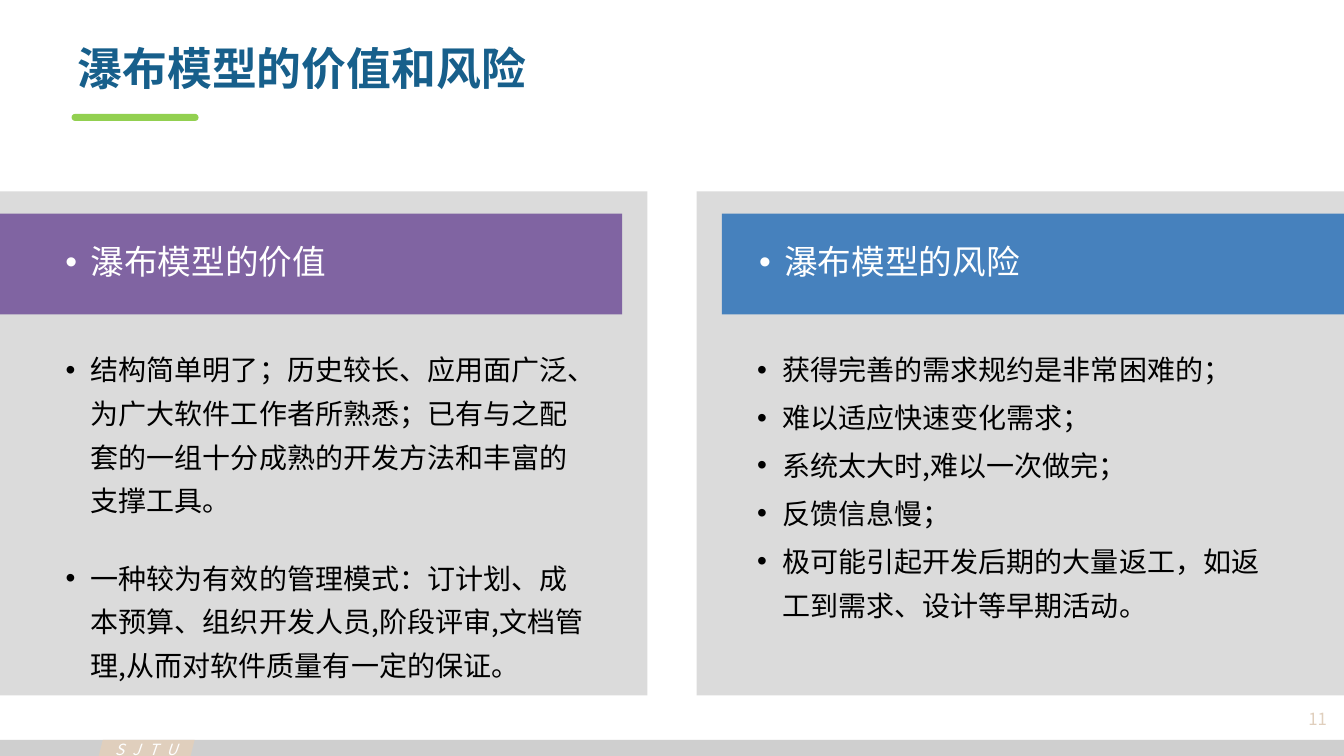
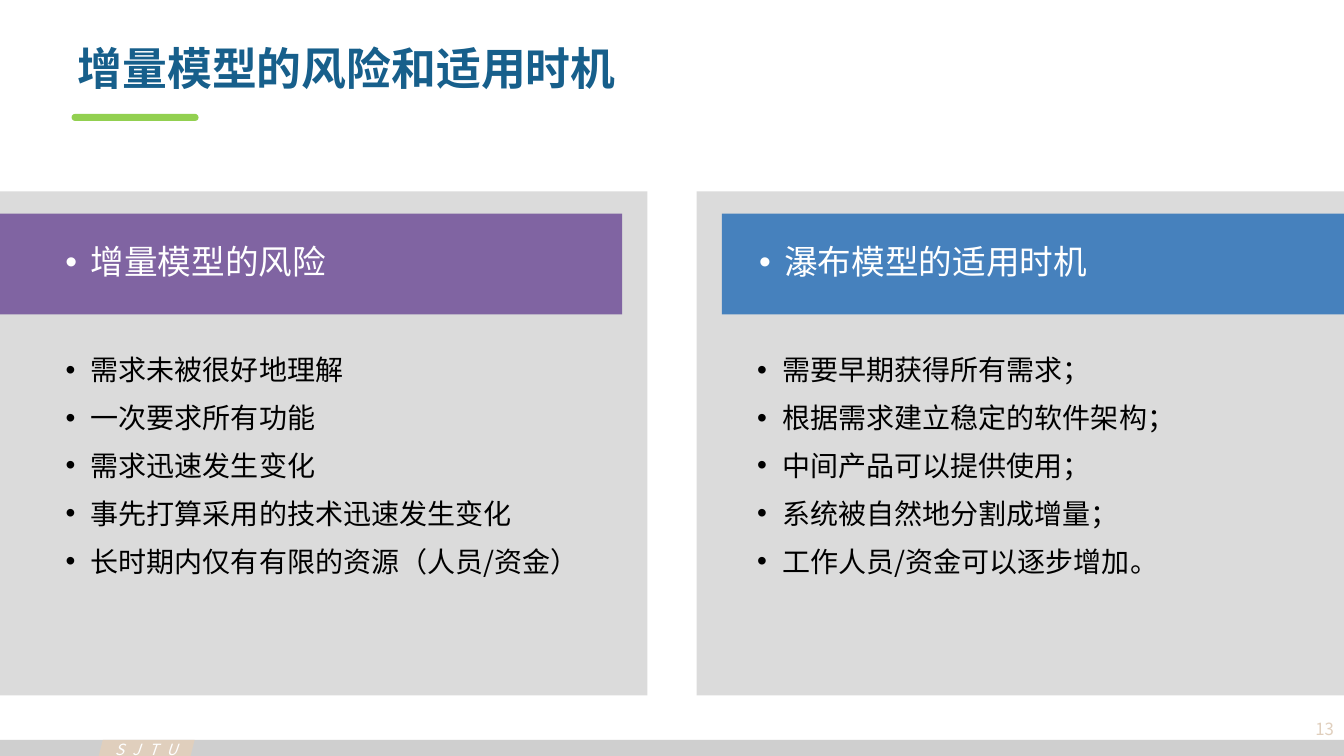
from lxml import etree
from pptx import Presentation
from pptx.dml.color import RGBColor
from pptx.enum import shapes, text
from pptx.oxml.ns import qn
from pptx.util import Inches, Pt

FONT = "Noto Sans CJK SC"
WHITE = RGBColor(0xFF, 0xFF, 0xFF)
BLACK = RGBColor(0, 0, 0)
TITLE_BLUE = RGBColor(0x17, 0x5F, 0x8B)
ACCENT_GREEN = RGBColor(0x92, 0xD0, 0x50)
PANEL_GRAY = RGBColor(0xDB, 0xDB, 0xDB)
FOOTER_GRAY = RGBColor(0xBF, 0xBF, 0xBF)
SAND = RGBColor(0xE0, 0xCF, 0xBD)
PURPLE = RGBColor(0x80, 0x64, 0xA2)
BLUE = RGBColor(0x46, 0x81, 0xBD)

SLIDE_W, SLIDE_H = 13.33, 7.5
PANEL_W, PANEL_H, PANEL_TOP = 6.42, 5, 1.9
HEADING_W, HEADING_H, HEADING_TOP = 6.17, 1, 2.12
FOOTER_H = 0.16

SIDES = [
    {"color": PURPLE, "right": False,
     "body_insets": (0.65, 1.5, 0.6, 0.05), "heading_insets": (0.65, 0.1, 0.5, 0.1)},
    {"color": BLUE, "right": True,
     "body_insets": (0.6, 1.5, 0.6, 0.05), "heading_insets": (0.37, 0.1, 0.67, 0.1)},
]

PAGES = [
    {
        "title": "瀑布模型的价值和风险",
        "number": "11",
        "number_at": (12.13, 6.94),
        "columns": [
            ("瀑布模型的价值", 23.9, [
                "结构简单明了；历史较长、应用面广泛、为广大软件工作者所熟悉；"
                "已有与之配套的一组十分成熟的开发方法和丰富的支撑工具。",
                "一种较为有效的管理模式：订计划、成本预算、组织开发人员,"
                "阶段评审,文档管理,从而对软件质量有一定的保证。",
            ]),
            ("瀑布模型的风险", 3, [
                "获得完善的需求规约是非常困难的；",
                "难以适应快速变化需求；",
                "系统太大时,难以一次做完；",
                "反馈信息慢；",
                "极可能引起开发后期的大量返工，如返工到需求、设计等早期活动。",
            ]),
        ],
    },
    {
        "title": "增量模型的风险和适用时机",
        "number": "13",
        "number_at": (12.2, 7.04),
        "columns": [
            ("增量模型的风险", 3, [
                "需求未被很好地理解",
                "一次要求所有功能",
                "需求迅速发生变化",
                "事先打算采用的技术迅速发生变化",
                "长时期内仅有有限的资源（人员/资金）",
            ]),
            ("瀑布模型的适用时机", 3, [
                "需要早期获得所有需求；",
                "根据需求建立稳定的软件架构；",
                "中间产品可以提供使用；",
                "系统被自然地分割成增量；",
                "工作人员/资金可以逐步增加。",
            ]),
        ],
    },
]


def inches(*lengths):
    return [Inches(length) for length in lengths]


def style_run(run, size, color, bold=False, italic=False):
    font = run.font
    font.name, font.size, font.bold, font.italic = FONT, Pt(size), bold, italic
    font.color.rgb = color
    east_asian = etree.SubElement(font._element, qn("a:ea"))
    east_asian.set("typeface", FONT)


def add_block(slide, preset, box, color):
    block = slide.shapes.add_shape(preset, *inches(*box))
    block.shadow.inherit = False
    block.fill.solid()
    block.fill.fore_color.rgb = color
    block.line.fill.background()
    return block


def add_label(slide, box, label, size, color, align, italic=False):
    frame = slide.shapes.add_textbox(*inches(*box)).text_frame
    frame.text = label
    paragraph = frame.paragraphs[0]
    paragraph.alignment = align
    style_run(paragraph.runs[0], size, color, italic=italic)
    return frame


def fill_bullets(block, items, insets, anchor, size, color, line_spacing, gap):
    frame = block.text_frame
    frame.word_wrap = True
    frame.vertical_anchor = anchor
    (frame.margin_left, frame.margin_top,
     frame.margin_right, frame.margin_bottom) = inches(*insets)
    frame.text = "\n".join(items)
    for index, paragraph in enumerate(frame.paragraphs):
        properties = paragraph._p.get_or_add_pPr()
        properties.set("marL", str(Inches(0.25)))
        properties.set("indent", str(-Inches(0.25)))
        bullet_font = etree.SubElement(properties, qn("a:buFont"))
        bullet_font.set("typeface", "Arial")
        etree.SubElement(properties, qn("a:buChar")).set("char", "•")
        paragraph.alignment = text.PP_ALIGN.LEFT
        paragraph.line_spacing = line_spacing
        paragraph.space_before = Pt(gap if index else 0)
        style_run(paragraph.runs[0], size, color)


def add_frame(slide, page):
    preset = shapes.MSO_SHAPE
    footer_top = SLIDE_H - FOOTER_H
    band = add_block(slide, preset.RECTANGLE, (0, footer_top, SLIDE_W, FOOTER_H), FOOTER_GRAY)
    band_color = band.fill._xPr.find(qn("a:solidFill"))[0]
    etree.SubElement(band_color, qn("a:alpha")).set("val", "75000")
    add_block(slide, preset.PARALLELOGRAM, (0.98, footer_top, 0.95, FOOTER_H), SAND)

    school = add_label(slide, (1.04, 7.29, 0.93, 0.29), "SJTU", 11, WHITE,
                       text.PP_ALIGN.JUSTIFY, italic=True)
    school.word_wrap = False
    school.auto_size = text.MSO_AUTO_SIZE.SHAPE_TO_FIT_TEXT
    school.paragraphs[0].runs[0].font._element.set("spc", "600")

    underline = add_block(slide, preset.ROUND_2_SAME_RECTANGLE,
                          (0.71, 1.13, 1.26, 0.07), ACCENT_GREEN)
    underline.adjustments[0] = underline.adjustments[1] = 0.5

    number = add_label(slide, (*page["number_at"], 1.13, 0.38), page["number"], 12, SAND,
                       text.PP_ALIGN.RIGHT)
    number.word_wrap = True
    number.vertical_anchor = text.MSO_ANCHOR.MIDDLE


def set_title(slide, words):
    title = slide.shapes.title
    title.left, title.top, title.width, title.height = inches(0.67, 0.41, 11.6, 0.75)
    frame = title.text_frame
    frame.text = words
    frame.vertical_anchor = text.MSO_ANCHOR.TOP
    frame.auto_size = text.MSO_AUTO_SIZE.NONE
    paragraph = frame.paragraphs[0]
    paragraph.alignment = text.PP_ALIGN.LEFT
    paragraph.line_spacing = 0.9
    style_run(paragraph.runs[0], 32, TITLE_BLUE, bold=True)


def add_column(slide, side, heading, gap, points):
    def left(width):
        return SLIDE_W - width if side["right"] else 0

    rectangle = shapes.MSO_SHAPE.RECTANGLE
    panel = add_block(slide, rectangle, (left(PANEL_W), PANEL_TOP, PANEL_W, PANEL_H), PANEL_GRAY)
    fill_bullets(panel, points, side["body_insets"], text.MSO_ANCHOR.TOP, 20, BLACK, 1.3, gap)
    banner = add_block(slide, rectangle,
                       (left(HEADING_W), HEADING_TOP, HEADING_W, HEADING_H), side["color"])
    fill_bullets(banner, [heading], side["heading_insets"], text.MSO_ANCHOR.MIDDLE,
                 24, WHITE, 0.9, 0)


def main():
    deck = Presentation()
    deck.slide_width, deck.slide_height = inches(SLIDE_W, SLIDE_H)
    for page in PAGES:
        slide = deck.slides.add_slide(deck.slide_layouts[5])
        set_title(slide, page["title"])
        add_frame(slide, page)
        for side, column in zip(SIDES, page["columns"]):
            add_column(slide, side, *column)
    deck.save("out.pptx")


if __name__ == "__main__":
    main()
